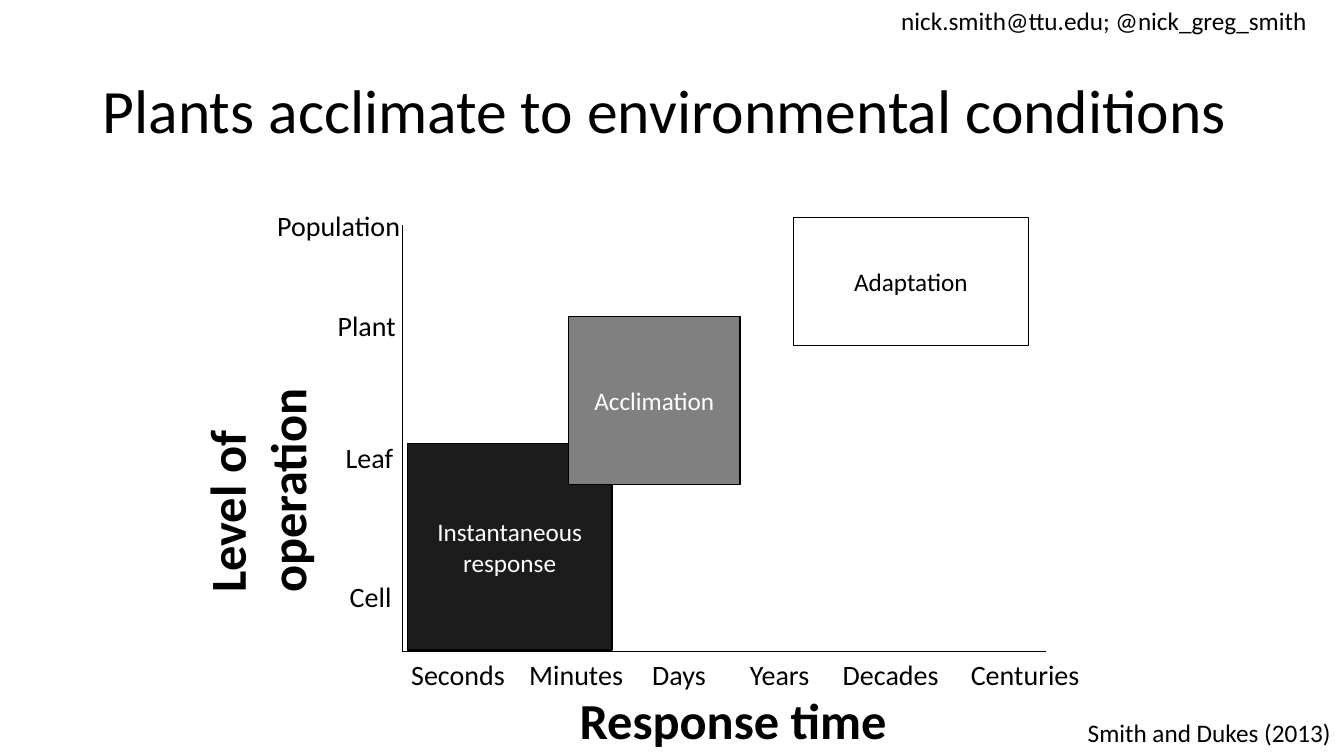
import pptx
import pptx.dml.color
import pptx.enum.shapes
import pptx.enum.text
import pptx.oxml.ns
import pptx.util
from lxml import etree
from pptx.util import Inches

THEME = {
    "font": "Calibri",
    "black": "000000", "white": "FFFFFF", "charcoal": "1C1C1C", "gray": "808080",
    "title": 44, "axis_title": 36, "tick": 20, "small": 18,
}

deck = pptx.Presentation()
deck.slide_width, deck.slide_height = Inches(13.33), Inches(7.5)
slide = deck.slides.add_slide(deck.slide_layouts[6])


def rgb(name):
    return pptx.dml.color.RGBColor.from_string(THEME[name])


def write(frame, words, size, color="black", bold=False):
    frame.text = words
    font = frame.paragraphs[0].runs[0].font
    font.name, font.size, font.bold = THEME["font"], pptx.util.Pt(THEME[size]), bold
    font.color.rgb = rgb(color)


# Title
title = slide.shapes.add_textbox(Inches(0.92), Inches(0.4), Inches(11.5), Inches(1.45)).text_frame
title.word_wrap = True
title.vertical_anchor = pptx.enum.text.MSO_ANCHOR.MIDDLE
write(title, "Plants acclimate to environmental conditions", "title")
title.paragraphs[0].line_spacing = 0.9

# Axes
origin_x, origin_y = 3.99, 6.46
for end_x, end_y in [(origin_x, 2.23), (10.37, origin_y)]:
    axis = slide.shapes.add_connector(
        pptx.enum.shapes.MSO_CONNECTOR.STRAIGHT,
        Inches(origin_x), Inches(origin_y), Inches(end_x), Inches(end_y))
    axis.line.color.rgb = rgb("black")
    axis.line.width = pptx.util.Pt(0.5)
    etree.SubElement(axis._element.spPr, pptx.oxml.ns.qn("a:effectLst"))

# Contact, citation and tick labels, each on one line
time_ticks = [("Seconds", 3.98, 1.14), ("Minutes", 5.15, 1.14), ("Days", 6.37, 0.74),
              ("Years", 7.34, 0.8), ("Decades", 8.26, 1.16), ("Centuries", 9.53, 1.29)]
level_ticks = [("Population", 2.65, 2.02, 1.43), ("Plant", 3.25, 3.01, 0.79),
               ("Leaf", 3.33, 4.32, 0.68), ("Cell", 3.37, 5.7, 0.62)]
labels = [("nick.smith@ttu.edu; @nick_greg_smith", 8.84, 0, 4.27, 0.4, "small"),
          ("Smith and Dukes (2013)", 10.69, 7.07, 2.64, 0.4, "small")]
labels += [(words, left, 6.47, width, 0.44, "tick") for words, left, width in time_ticks]
labels += [(*tick, 0.44, "tick") for tick in level_ticks]
for words, left, top, width, height, size in labels:
    label = slide.shapes.add_textbox(
        Inches(left), Inches(top), Inches(width), Inches(height)).text_frame
    label.word_wrap = False
    label.auto_size = pptx.enum.text.MSO_AUTO_SIZE.SHAPE_TO_FIT_TEXT
    write(label, words, size)

# Axis titles
for words, left, top, width, height, direction in [
        ("Response time", 5.65, 6.79, 3.28, 0.71, "horz"),
        ("Level of operation", 1.89, 2.09, 0.81, 3.89, "vert270")]:
    axis_title = slide.shapes.add_textbox(
        Inches(left), Inches(top), Inches(width), Inches(height)).text_frame
    axis_title.word_wrap = True
    axis_title.auto_size = pptx.enum.text.MSO_AUTO_SIZE.SHAPE_TO_FIT_TEXT
    axis_title._txBody.bodyPr.set("vert", direction)
    write(axis_title, words, "axis_title", bold=True)

# Response types, back to front
for words, left, top, width, height, fill, color in [
        ("Instantaneous response", 4.04, 4.4, 2.03, 2.05, "charcoal", "white"),
        ("Acclimation", 5.64, 3.14, 1.7, 1.67, "gray", "white"),
        ("Adaptation", 7.87, 2.16, 2.33, 1.27, "white", "black")]:
    response = slide.shapes.add_shape(
        pptx.enum.shapes.MSO_SHAPE.RECTANGLE,
        Inches(left), Inches(top), Inches(width), Inches(height))
    response.shadow.inherit = False
    response.fill.solid()
    response.fill.fore_color.rgb = rgb(fill)
    response.line.color.rgb = rgb("black")
    response.line.width = pptx.util.Pt(1)
    response.text_frame.word_wrap = True
    response.text_frame.vertical_anchor = pptx.enum.text.MSO_ANCHOR.MIDDLE
    write(response.text_frame, words, "small", color)
    response.text_frame.paragraphs[0].alignment = pptx.enum.text.PP_ALIGN.CENTER

deck.save("out.pptx")
